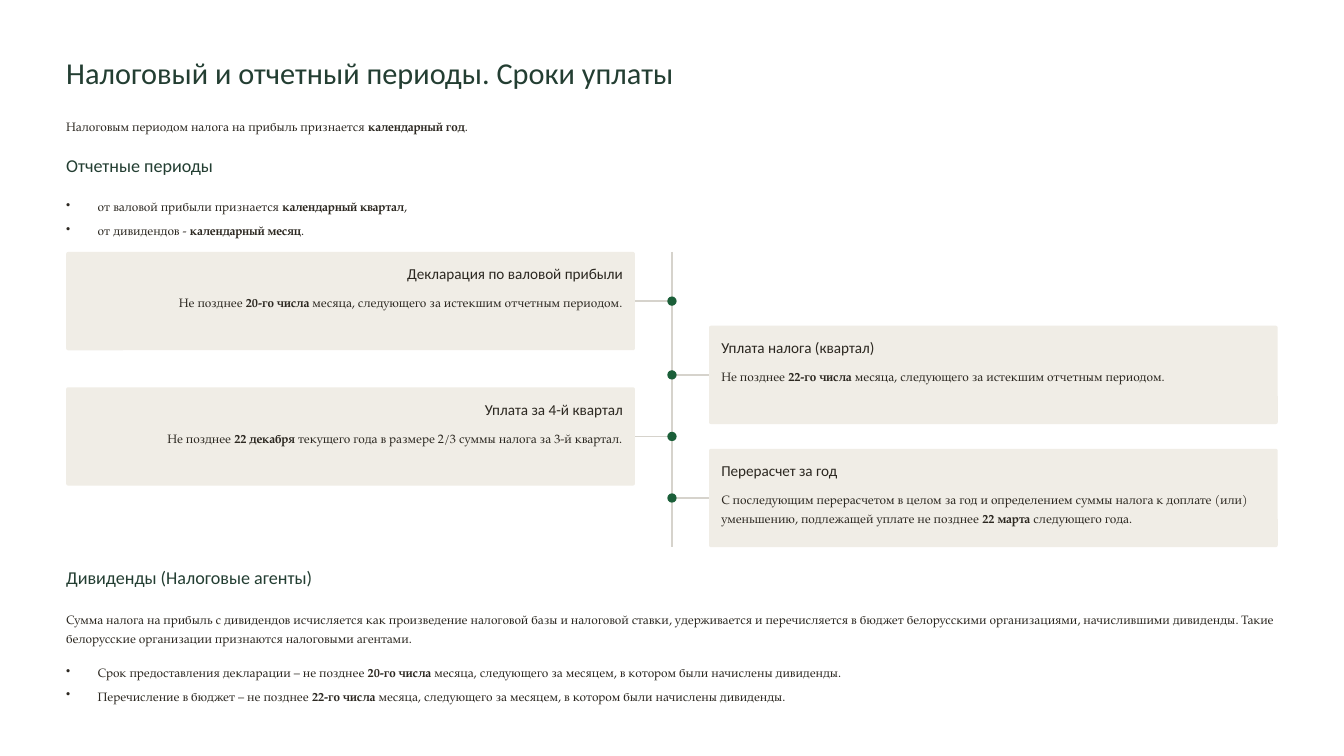
from dataclasses import dataclass

import lxml.etree
import pptx
import pptx.dml.color
import pptx.enum.shapes
import pptx.enum.text
import pptx.oxml.ns
import pptx.util

Pt = pptx.util.Pt
SHAPES = pptx.enum.shapes.MSO_SHAPE
ALIGN = pptx.enum.text.PP_ALIGN


@dataclass(frozen=True)
class TextStyle:
    """Type face, size, line height and colour of one kind of text."""
    font: str
    size: float
    line: float
    color: str


@dataclass(frozen=True)
class Theme:
    """Colours and type styles of the slide."""
    title: TextStyle = TextStyle("Calibri", 26, 32.5, "233E32")
    heading: TextStyle = TextStyle("Calibri", 15.5, 19.5, "233E32")
    card_title: TextStyle = TextStyle("Calibri", 13, 16, "2C2821")
    body: TextStyle = TextStyle("TeX Gyre Pagella", 10.5, 16.5, "2C2821")
    background: str = "FFFFFF"
    card: str = "F0EDE6"
    line: str = "D6D3CC"
    dot: str = "1B5F39"


THEME = Theme()
LEFT, WIDTH = 56.75, 1038.5

REPORTING = ["от валовой прибыли признается **календарный квартал**,",
             "от дивидендов - **календарный месяц**."]
DIVIDENDS_TEXT = (
    "Сумма налога на прибыль с дивидендов исчисляется как произведение налоговой базы и налоговой "
    "ставки, удерживается и перечисляется в бюджет белорусскими организациями, начислившими "
    "дивиденды. Такие белорусские организации признаются налоговыми агентами.")
DIVIDENDS = [
    "Срок предоставления декларации – не позднее **20-го числа** месяца, следующего за месяцем, "
    "в котором были начислены дивиденды.",
    "Перечисление в бюджет – не позднее **22-го числа** месяца, следующего за месяцем, "
    "в котором были начислены дивиденды."]
DEADLINES = [
    (0, "Декларация по валовой прибыли",
     "Не позднее **20-го числа** месяца, следующего за истекшим отчетным периодом."),
    (63.25, "Уплата налога (квартал)",
     "Не позднее **22-го числа** месяца, следующего за истекшим отчетным периодом."),
    (116, "Уплата за 4-й квартал",
     "Не позднее **22 декабря** текущего года в размере 2/3 суммы налога за 3-й квартал."),
    (168.75, "Перерасчет за год",
     "С последующим перерасчетом в целом за год и определением суммы налога к доплате (или) "
     "уменьшению, подлежащей уплате не позднее **22 марта** следующего года."),
]


def rgb(color):
    """Return a colour object for a hex string."""
    return pptx.dml.color.RGBColor.from_string(color)


def add_bullet(paragraph):
    """Give a paragraph a hanging round bullet."""
    properties = paragraph._p.get_or_add_pPr()
    properties.set("marL", str(Pt(27)))
    properties.set("indent", str(-Pt(27)))
    bullet = lxml.etree.SubElement(properties, pptx.oxml.ns.qn("a:buChar"))
    bullet.set("char", "•")


def add_text(slide, left, top, width, lines, style, align=ALIGN.LEFT, bullets=False):
    """Place paragraphs in a box; double asterisks enclose bold words."""
    shape = slide.shapes.add_textbox(Pt(left), Pt(top), Pt(width), Pt(style.line * len(lines)))
    frame = shape.text_frame
    frame.word_wrap = True
    frame.margin_left = frame.margin_top = frame.margin_right = frame.margin_bottom = 0
    for index, line in enumerate(lines):
        paragraph = frame.add_paragraph() if index else frame.paragraphs[0]
        paragraph.alignment = align
        paragraph.line_spacing = Pt(style.line)
        if index:
            paragraph.space_before = Pt(4)
        if bullets:
            add_bullet(paragraph)
        paragraph.font.name = style.font
        paragraph.font.size = Pt(style.size)
        paragraph.font.color.rgb = rgb(style.color)
        for position, part in enumerate(line.split("**")):
            run = paragraph.add_run()
            run.text = part
            if position % 2:
                run.font.bold = True


def add_block(slide, kind, left, top, width, height, color):
    """Add a filled preset shape without outline or shadow."""
    shape = slide.shapes.add_shape(kind, Pt(left), Pt(top), Pt(width), Pt(height))
    shape.shadow.inherit = False
    shape.fill.solid()
    shape.fill.fore_color.rgb = rgb(color)
    shape.line.fill.background()
    return shape


def add_line(slide, start_x, start_y, end_x, end_y):
    """Add a thin straight line."""
    connector = slide.shapes.add_connector(
        pptx.enum.shapes.MSO_CONNECTOR.STRAIGHT,
        Pt(start_x), Pt(start_y), Pt(end_x), Pt(end_y))
    connector.line.color.rgb = rgb(THEME.line)
    connector.line.width = Pt(1.25)
    lxml.etree.SubElement(connector._element.spPr, pptx.oxml.ns.qn("a:effectLst"))
    return connector


def add_card(slide, left, top, width, height, title, text, align):
    """Draw one deadline card with its title and text."""
    card = add_block(slide, SHAPES.ROUNDED_RECTANGLE, left, top, width, height, THEME.card)
    card.adjustments[0] = 0.02
    padding = 10.5
    inner = width - 2 * padding
    add_text(slide, left + padding, top + padding, inner, [title], THEME.card_title, align)
    add_text(slide, left + padding, top + 33.5, inner, [text], THEME.body, align)
    return card


def add_timeline(slide, left, top, width, height):
    """Draw the central axis with cards alternating on its two sides."""
    axis, gap, card_height, dot = left + width / 2, 31.75, 84.25, 8
    card_width = width / 2 - gap
    add_line(slide, axis, top, axis, top + height)
    for index, (offset, title, text) in enumerate(DEADLINES):
        on_right = index % 2 == 1
        card_left = axis + gap if on_right else left
        card_edge = card_left if on_right else left + card_width
        middle = top + offset + card_height / 2
        card = add_card(slide, card_left, top + offset, card_width, card_height, title, text,
                        ALIGN.LEFT if on_right else ALIGN.RIGHT)
        branch = add_line(slide, axis, middle, card_edge, middle)
        branch.end_connect(card, 1 if on_right else 3)
        add_block(slide, SHAPES.OVAL, axis - dot / 2, middle - dot / 2, dot, dot, THEME.dot)


def add_periods(slide, left, top, width):
    """Place the title, the tax period and the reporting periods."""
    add_text(slide, left, top, width, ["Налоговый и отчетный периоды. Сроки уплаты"], THEME.title)
    add_text(slide, left, top + 54, width,
             ["Налоговым периодом налога на прибыль признается **календарный год**."], THEME.body)
    add_text(slide, left, top + 86.5, width, ["Отчетные периоды"], THEME.heading)
    add_text(slide, left, top + 122.25, width, REPORTING, THEME.body, bullets=True)


def add_dividends(slide, left, top, width):
    """Place the section on dividends."""
    add_text(slide, left, top, width, ["Дивиденды (Налоговые агенты)"], THEME.heading)
    add_text(slide, left, top + 35.5, width, [DIVIDENDS_TEXT], THEME.body)
    add_text(slide, left, top + 81, width, DIVIDENDS, THEME.body, bullets=True)


def main():
    """Build the slide and save it."""
    presentation = pptx.Presentation()
    presentation.slide_width, presentation.slide_height = Pt(1152), Pt(648)
    slide = presentation.slides.add_slide(presentation.slide_layouts[6])
    slide.background.fill.solid()
    slide.background.fill.fore_color.rgb = rgb(THEME.background)
    add_periods(slide, LEFT, 44.75, WIDTH)
    add_timeline(slide, LEFT, 216, WIDTH, 253)
    add_dividends(slide, LEFT, 485, WIDTH)
    presentation.save("out.pptx")


if __name__ == "__main__":
    main()
